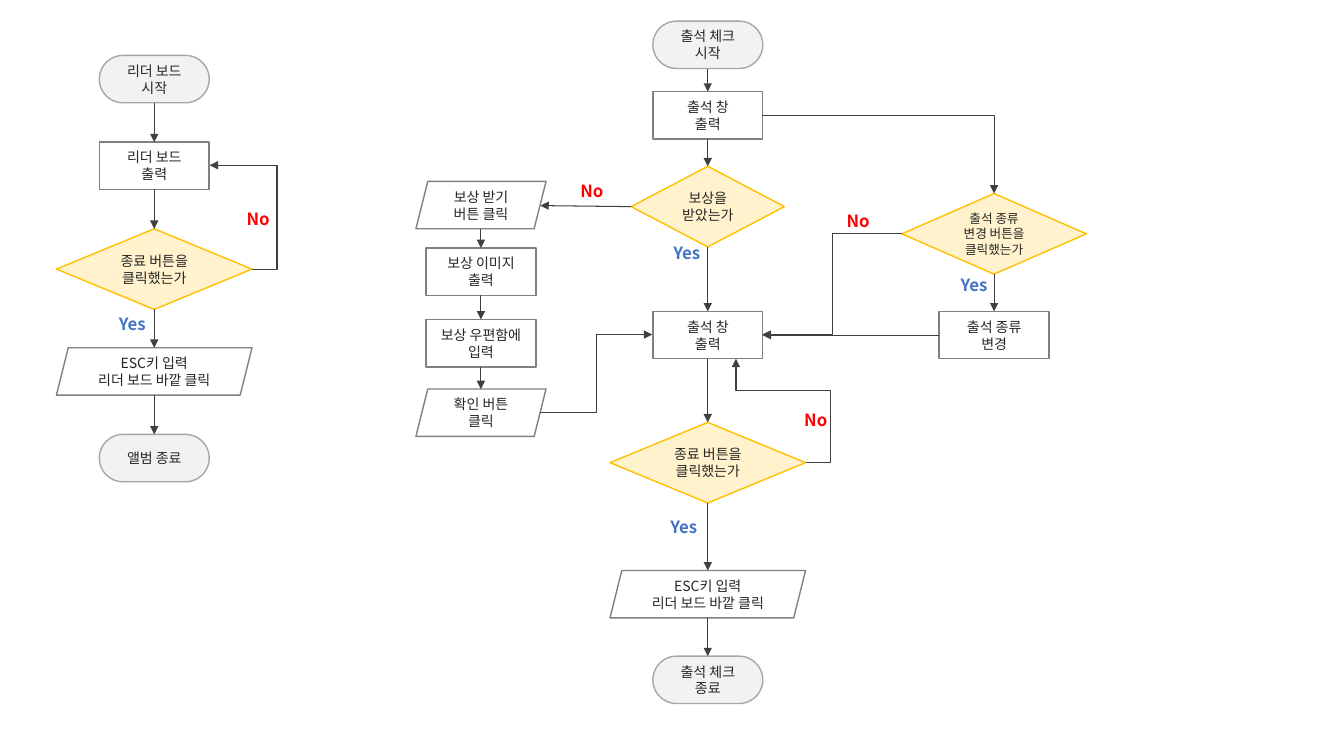
from lxml import etree
from pptx import Presentation
from pptx.dml.color import RGBColor
from pptx.enum.shapes import MSO_CONNECTOR, MSO_SHAPE
from pptx.enum.text import MSO_ANCHOR, PP_ALIGN
from pptx.oxml.ns import qn
from pptx.util import Inches, Pt

FONT = "Noto Sans CJK KR"
STRAIGHT, ELBOW = MSO_CONNECTOR.STRAIGHT, MSO_CONNECTOR.ELBOW
CENTER, MIDDLE = PP_ALIGN.CENTER, MSO_ANCHOR.MIDDLE
TOP, LEFT, BOTTOM, RIGHT = range(4)

# Kind: preset shape, height, fill, outline
KINDS = {
    "terminal": (MSO_SHAPE.ROUNDED_RECTANGLE, 0.47, "F2F2F2", "A6A6A6"),
    "process": (MSO_SHAPE.RECTANGLE, 0.47, "FFFFFF", "808080"),
    "input": (MSO_SHAPE.PARALLELOGRAM, 0.47, "FFFFFF", "808080"),
    "decision": (MSO_SHAPE.FLOWCHART_DECISION, 0.8, "FFF2CC", "FFC000"),
}
LEADER_X, REWARD_X, CHECK_X, TYPE_X = 1.53, 4.77, 7.02, 9.86

# Name: kind, centre x, top, width, text size, lines
STEPS = {
    "board start": ("terminal", LEADER_X, 0.55, 1.09, 10, ["리더 보드", "시작"]),
    "board": ("process", LEADER_X, 1.41, 1.09, 10, ["리더 보드", "출력"]),
    "board close?": ("decision", LEADER_X, 2.27, 1.94, 10, ["종료 버튼을 클릭했는가"]),
    "board escape": ("input", LEADER_X, 3.45, 1.94, 10, ["ESC키 입력", "리더 보드 바깥 클릭"]),
    "board end": ("terminal", LEADER_X, 4.31, 1.09, 10, ["앨범 종료"]),
    "check start": ("terminal", CHECK_X, 0.21, 1.09, 10, ["출석 체크", "시작"]),
    "window": ("process", CHECK_X, 0.91, 1.09, 10, ["출석 창", "출력"]),
    "rewarded?": ("decision", CHECK_X, 1.65, 1.52, 10, ["보상을", "받았는가"]),
    "window again": ("process", CHECK_X, 3.09, 1.09, 10, ["출석 창", "출력"]),
    "check close?": ("decision", CHECK_X, 4.19, 1.94, 10, ["종료 버튼을 클릭했는가"]),
    "check escape": ("input", CHECK_X, 5.66, 1.94, 10, ["ESC키 입력", "리더 보드 바깥 클릭"]),
    "check end": ("terminal", CHECK_X, 6.51, 1.09, 10, ["출석 체크 종료"]),
    "claim": ("input", REWARD_X, 1.8, 1.29, 10, ["보상 받기 버튼 클릭"]),
    "reward image": ("process", REWARD_X, 2.46, 1.09, 10, ["보상 이미지 출력"]),
    "mailbox": ("process", REWARD_X, 3.17, 1.09, 10, ["보상 우편함에", "입력"]),
    "confirm": ("input", REWARD_X, 3.86, 1.29, 10, ["확인 버튼", "클릭"]),
    "change type?": ("decision", TYPE_X, 1.92, 1.83, 9, ["출석 종류", "변경 버튼을", "클릭했는가"]),
    "change type": ("process", TYPE_X, 3.09, 1.09, 10, ["출석 종류", "변경"]),
}
# Each flow runs downwards, step to step
FLOWS = [
    ["board start", "board", "board close?", "board escape", "board end"],
    ["check start", "window", "rewarded?", "window again", "check close?",
     "check escape", "check end"],
    ["claim", "reward image", "mailbox", "confirm"],
    ["change type?", "change type"],
]
# Start, end, preset, bend positions as shares of the size
BENDS = [
    ((2.5, 2.67), (2.08, 1.64), "bentConnector3", [-0.59]),
    ((5.36, 4.09), (6.47, 3.32), "bentConnector3", [0.5]),
    ((7.56, 1.15), (9.86, 1.92), "bentConnector2", []),
    ((8.95, 2.32), (7.56, 3.32), "bentConnector3", [0.5]),
    ((7.99, 4.59), (7.3, 3.56), "bentConnector4", [-0.36, 0.69]),
]
ANSWERS = {
    "Yes": ("4472C4", [(0.92, 3.06), (6.39, 5.08), (6.42, 2.36), (9.27, 2.68)]),
    "No": ("FF0000", [(2.17, 2.02), (5.48, 1.74), (8.12, 2.04), (7.7, 4.02)]),
}


def write(frame, lines, size, color, bold=False):
    frame.word_wrap = True
    frame.text = "\n".join(lines)
    for para in frame.paragraphs:
        para.alignment = CENTER
        para.font.size = Pt(size)
        para.font.bold = bold
        para.font.color.rgb = RGBColor.from_string(color)
        para.font.name = FONT
        defaults = para._p.pPr.find(qn("a:defRPr"))
        etree.SubElement(defaults, qn("a:ea"), typeface=FONT)


def add_arrow(kind, start, end):
    arrow = page.shapes.add_connector(kind, *map(Inches, start + end))
    arrow.line.color.rgb = RGBColor.from_string("404040")
    arrow.line.width = Pt(0.75)
    etree.SubElement(arrow.line._get_or_add_ln(), qn("a:tailEnd"), type="triangle")
    etree.SubElement(arrow._element.spPr, qn("a:effectLst"))
    return arrow


deck = Presentation()
deck.slide_width, deck.slide_height = Inches(13.33), Inches(7.5)
page = deck.slides.add_slide(deck.slide_layouts[6])

# Steps
boxes = {}
for name, (kind, center, top, width, size, lines) in STEPS.items():
    preset, height, fill, outline = KINDS[kind]
    box = page.shapes.add_shape(preset, Inches(center - width / 2), Inches(top),
                                Inches(width), Inches(height))
    if kind == "terminal":
        box.adjustments[0] = 0.5
    box.shadow.inherit = False
    box.fill.solid()
    box.fill.fore_color.rgb = RGBColor.from_string(fill)
    box.line.color.rgb = RGBColor.from_string(outline)
    box.line.width = Pt(1)
    box.text_frame.vertical_anchor = MIDDLE
    write(box.text_frame, lines, size, "262626")
    boxes[name] = box

# Downward arrows
for flow in FLOWS:
    for source, target in zip(flow, flow[1:]):
        kind, center, top = STEPS[source][:3]
        arrow = add_arrow(STRAIGHT, (center, top + KINDS[kind][1]),
                          (center, STEPS[target][2]))
        if kind != "input":
            arrow.begin_connect(boxes[source], BOTTOM)
        if STEPS[target][0] != "input":
            arrow.end_connect(boxes[target], TOP)

# Sideways arrows
to_claim = add_arrow(STRAIGHT, (6.26, 2.05), (5.36, 2.04))
to_claim.begin_connect(boxes["rewarded?"], LEFT)
to_window = add_arrow(STRAIGHT, (9.32, 3.32), (7.56, 3.32))
to_window.begin_connect(boxes["change type"], LEFT)
to_window.end_connect(boxes["window again"], RIGHT)

# Bent arrows
for start, end, preset, shares in BENDS:
    geometry = add_arrow(ELBOW, start, end)._element.spPr.find(qn("a:prstGeom"))
    geometry.set("prst", preset)
    guides = geometry.find(qn("a:avLst"))
    for number, share in enumerate(shares, 1):
        label = "adj%d" % number
        etree.SubElement(guides, qn("a:gd"), name=label,
                         fmla="val %d" % round(share * 100000))

# Yes and No labels
for answer, (color, places) in ANSWERS.items():
    for left, top in places:
        box = page.shapes.add_textbox(Inches(left), Inches(top), Inches(0.88), Inches(0.3))
        box.text_frame.margin_left = 0
        write(box.text_frame, [answer], 12, color, bold=True)

deck.save("out.pptx")
